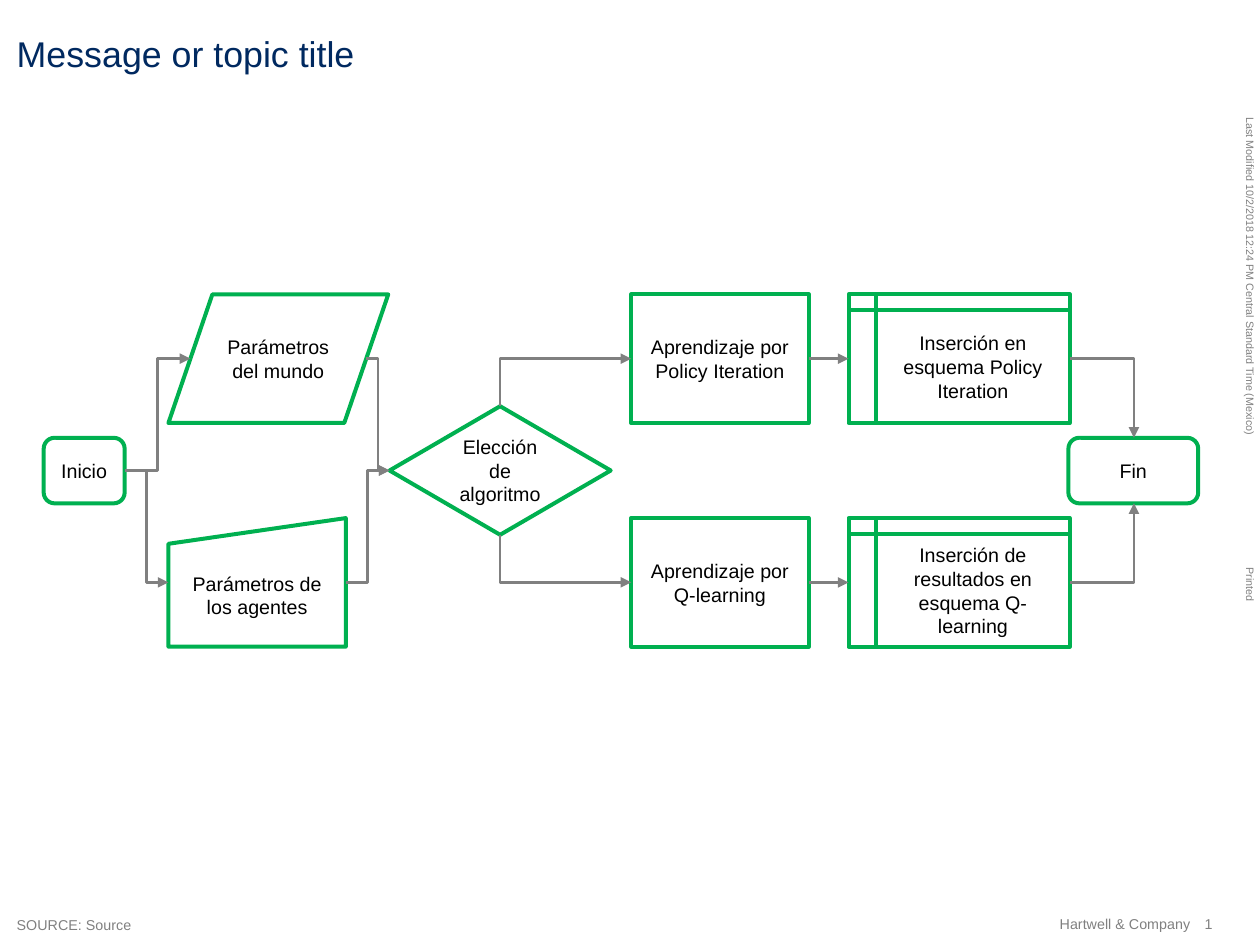
from dataclasses import dataclass

from lxml import etree
from pptx import Presentation
from pptx.dml.color import RGBColor
from pptx.enum import shapes, text
from pptx.oxml import ns
from pptx.util import Inches, Pt

GREEN = RGBColor(0x00, 0xB0, 0x50)
GREY = RGBColor(0x80, 0x80, 0x80)
NAVY = RGBColor(0x00, 0x29, 0x60)
BLACK = RGBColor(0, 0, 0)
WHITE = RGBColor(0xFF, 0xFF, 0xFF)

FONT = "Arial"
TOP, MID, BOTTOM = 2.79, 3.66, 4.53  # centre lines of the three rows
STEP_H, END_H = 1.0, 0.51
MSO, AL, AN = shapes.MSO_SHAPE, text.PP_ALIGN, text.MSO_ANCHOR


@dataclass
class Node:
    """A flowchart step, placed by its left edge and row centre."""
    label: str
    kind: MSO
    left: float
    row: float
    width: float
    height: float = STEP_H


@dataclass
class Link:
    """An arrow between two points; a corner leaves its start horizontally."""
    start: tuple[float, float]
    end: tuple[float, float]
    geometry: str = "bentConnector3"
    arrow_at: str = "tailEnd"


@dataclass
class Note:
    """A small grey text at the slide's edge."""
    label: str
    left: float
    top: float
    width: float
    height: float
    size: int = 8
    rotation: int = 0
    align: AL = AL.LEFT
    anchor: AN = AN.MIDDLE


def set_text(sp, label: str, size: int, color: RGBColor, align: AL, anchor: AN) -> None:
    """Write one formatted paragraph into a shape."""
    tf = sp.text_frame
    tf.text = label
    tf.word_wrap = True
    tf.auto_size = text.MSO_AUTO_SIZE.NONE
    tf.vertical_anchor = anchor
    p = tf.paragraphs[0]
    p.alignment = align
    p.font.name, p.font.size, p.font.color.rgb = FONT, Pt(size), color


def clear_margins(sp) -> None:
    """Remove the inner margins of a shape's text."""
    tf = sp.text_frame
    tf.margin_left = tf.margin_right = tf.margin_top = tf.margin_bottom = 0


def add_title(s, label: str) -> None:
    """Place and format the title placeholder."""
    sp = s.shapes.title
    sp.left, sp.top, sp.width, sp.height = map(Inches, (0.13, 0.25, 9.43, 0.34))
    set_text(sp, label, 20, NAVY, AL.LEFT, AN.TOP)
    clear_margins(sp)


def add_note(s, n: Note) -> None:
    """Draw an edge note on a single line."""
    sp = s.shapes.add_textbox(*map(Inches, (n.left, n.top, n.width, n.height)))
    set_text(sp, n.label, n.size, GREY, n.align, n.anchor)
    clear_margins(sp)
    sp.text_frame.word_wrap = False
    sp.rotation = n.rotation


def add_node(s, n: Node) -> None:
    """Draw a flowchart step."""
    box = (n.left, n.row - n.height / 2, n.width, n.height)
    sp = s.shapes.add_shape(n.kind, *map(Inches, box))
    sp.shadow.inherit = False
    sp.fill.solid()
    sp.fill.fore_color.rgb = WHITE
    sp.line.color.rgb, sp.line.width = GREEN, Pt(2.25)
    set_text(sp, n.label, 11, BLACK, AL.CENTER, AN.MIDDLE)


def add_link(s, k: Link) -> None:
    """Draw an arrow with the link's connector geometry."""
    straight = k.geometry == "line"
    kind = shapes.MSO_CONNECTOR.STRAIGHT if straight else shapes.MSO_CONNECTOR.ELBOW
    c = s.shapes.add_connector(kind, *map(Inches, k.start + k.end))
    c.line.color.rgb, c.line.width = GREY, Pt(1.5)
    pr = c._element.spPr
    pr.find(ns.qn("a:prstGeom")).set("prst", k.geometry)
    etree.SubElement(c.line._get_or_add_ln(), ns.qn(f"a:{k.arrow_at}"), type="triangle")
    etree.SubElement(pr, ns.qn("a:effectLst"))


NODES = [
    Node("Inicio", MSO.ROUNDED_RECTANGLE, 0.34, MID, 0.63, END_H),
    Node("Parámetros del mundo", MSO.FLOWCHART_DATA, 1.31, TOP, 1.71),
    Node("Parámetros de los agentes", MSO.FLOWCHART_MANUAL_INPUT, 1.31, BOTTOM, 1.38),
    Node("Elección de algoritmo", MSO.FLOWCHART_DECISION, 3.03, MID, 1.72),
    Node("Fin", MSO.ROUNDED_RECTANGLE, 8.31, MID, 1.01, END_H),
]
LINKS = [
    Link((0.97, MID), (1.48, TOP)),
    Link((0.97, MID), (1.31, BOTTOM)),
    Link((2.85, TOP), (3.03, MID)),
    Link((2.69, BOTTOM), (3.03, MID)),
]
BRANCHES = [
    (TOP, -1, "Aprendizaje por Policy Iteration", "Inserción en esquema Policy Iteration"),
    (BOTTOM, 1, "Aprendizaje por Q-learning",
     "Inserción de resultados en esquema Q-learning"),
]
for row, side, learning, storage in BRANCHES:
    NODES += [
        Node(learning, MSO.FLOWCHART_PROCESS, 4.91, row, 1.38),
        Node(storage, MSO.FLOWCHART_INTERNAL_STORAGE, 6.6, row, 1.72),
    ]
    LINKS += [
        Link((4.91, row), (3.89, MID + side * STEP_H / 2), "bentConnector2", "headEnd"),
        Link((6.29, row), (6.6, row), "line"),
        Link((8.32, row), (8.82, MID + side * END_H / 2), "bentConnector2"),
    ]
NOTES = [
    Note("Last Modified 10/2/2018 12:24 PM Central Standard Time (Mexico)",
         8.47, 2.12, 2.51, 0.1, 6, 90, anchor=AN.TOP),
    Note("Printed", 9.59, 4.5, 0.27, 0.1, 6, 90, anchor=AN.TOP),
    Note("1", 9.37, 7.12, 0.14, 0.13),
    Note("Hartwell & Company", 8.15, 7.12, 1.11, 0.13, align=AL.RIGHT),
    Note("SOURCE: Source", 0.13, 7.12, 7.87, 0.14, anchor=AN.BOTTOM),
]

prs = Presentation()
prs.slide_width, prs.slide_height = Inches(9.8), Inches(7.35)
s = prs.slides.add_slide(prs.slide_layouts.get_by_name("Title Only"))
add_title(s, "Message or topic title")
for note in NOTES:
    add_note(s, note)
for node in NODES:
    add_node(s, node)
for link in LINKS:
    add_link(s, link)
prs.save("out.pptx")
